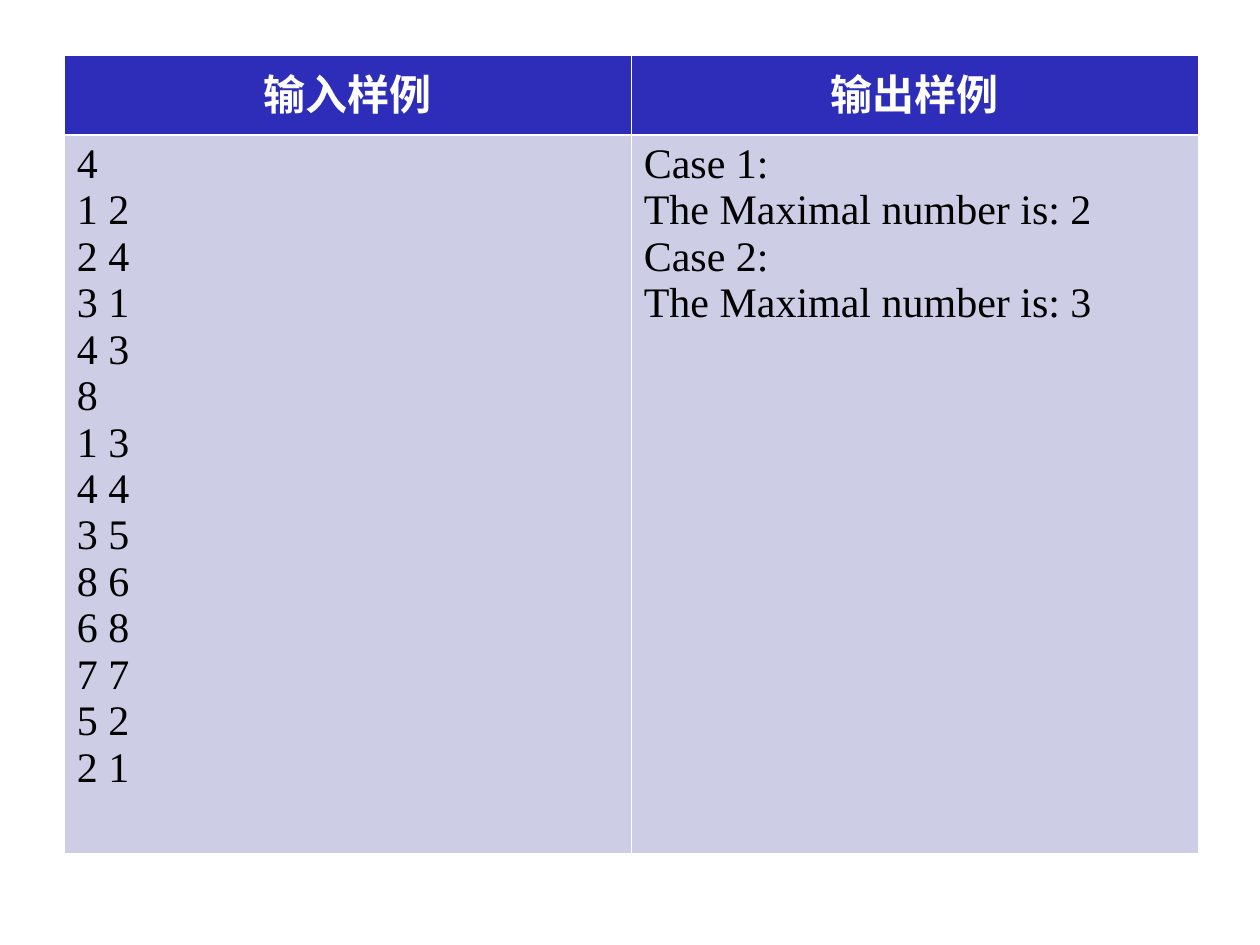
from dataclasses import dataclass

from lxml import etree
from pptx import Presentation
from pptx.dml.color import RGBColor
from pptx.enum import text
from pptx.oxml.ns import qn
from pptx.util import Inches, Pt

FONT = "Times New Roman"
THIN, THICK = 0.45, 1.47


@dataclass
class RowStyle:
    height: float
    fill: str
    color: str
    bold: bool
    align: text.PP_ALIGN
    borders: dict[str, float]


@dataclass
class Sample:
    heading: str
    lines: list[str]


HEADER = RowStyle(0.63, "2D2DB9", "FFFFFF", True, text.PP_ALIGN.CENTER,
                  {"L": THIN, "R": THIN, "T": THIN, "B": THICK})
BODY = RowStyle(5.7, "CDCDE6", "000000", False, text.PP_ALIGN.LEFT,
                {"L": THIN, "R": THIN, "T": THICK, "B": THIN})

SAMPLES = [
    Sample("输入样例", ["4", "1 2", "2 4", "3 1", "4 3",
                    "8", "1 3", "4 4", "3 5", "8 6", "6 8", "7 7", "5 2", "2 1"]),
    Sample("输出样例", ["Case 1:", "The Maximal number is: 2",
                    "Case 2:", "The Maximal number is: 3"]),
]


def rgb(value: str) -> RGBColor:
    return RGBColor.from_string(value)


def set_borders(cell, borders: dict[str, float]) -> None:
    """Add white cell borders; call before the fill, which must follow them."""
    tc_pr = cell._tc.get_or_add_tcPr()
    for side, width in borders.items():
        ln = etree.SubElement(tc_pr, qn(f"a:ln{side}"), w=str(Pt(width)))
        fill = etree.SubElement(ln, qn("a:solidFill"))
        etree.SubElement(fill, qn("a:srgbClr"), val="FFFFFF")


def fill_cell(cell, lines: list[str], style: RowStyle) -> None:
    set_borders(cell, style.borders)
    cell.fill.solid()
    cell.fill.fore_color.rgb = rgb(style.fill)
    cell.text = "\n".join(lines)
    for p in cell.text_frame.paragraphs:
        p.alignment = style.align
        p.font.name = FONT
        p.font.size = Pt(24)
        p.font.bold = style.bold
        p.font.color.rgb = rgb(style.color)


def main() -> None:
    prs = Presentation()
    prs.slide_width, prs.slide_height = Inches(10), Inches(7.5)
    s = prs.slides.add_slide(prs.slide_layouts[6])

    table = s.shapes.add_table(2, len(SAMPLES), Inches(0.51), Inches(0.44),
                               Inches(9), Inches(HEADER.height + BODY.height)).table
    for row, style in zip(table.rows, (HEADER, BODY)):
        row.height = Inches(style.height)
    for col, sample in enumerate(SAMPLES):
        fill_cell(table.cell(0, col), [sample.heading], HEADER)
        fill_cell(table.cell(1, col), sample.lines, BODY)

    prs.save("out.pptx")


if __name__ == "__main__":
    main()
